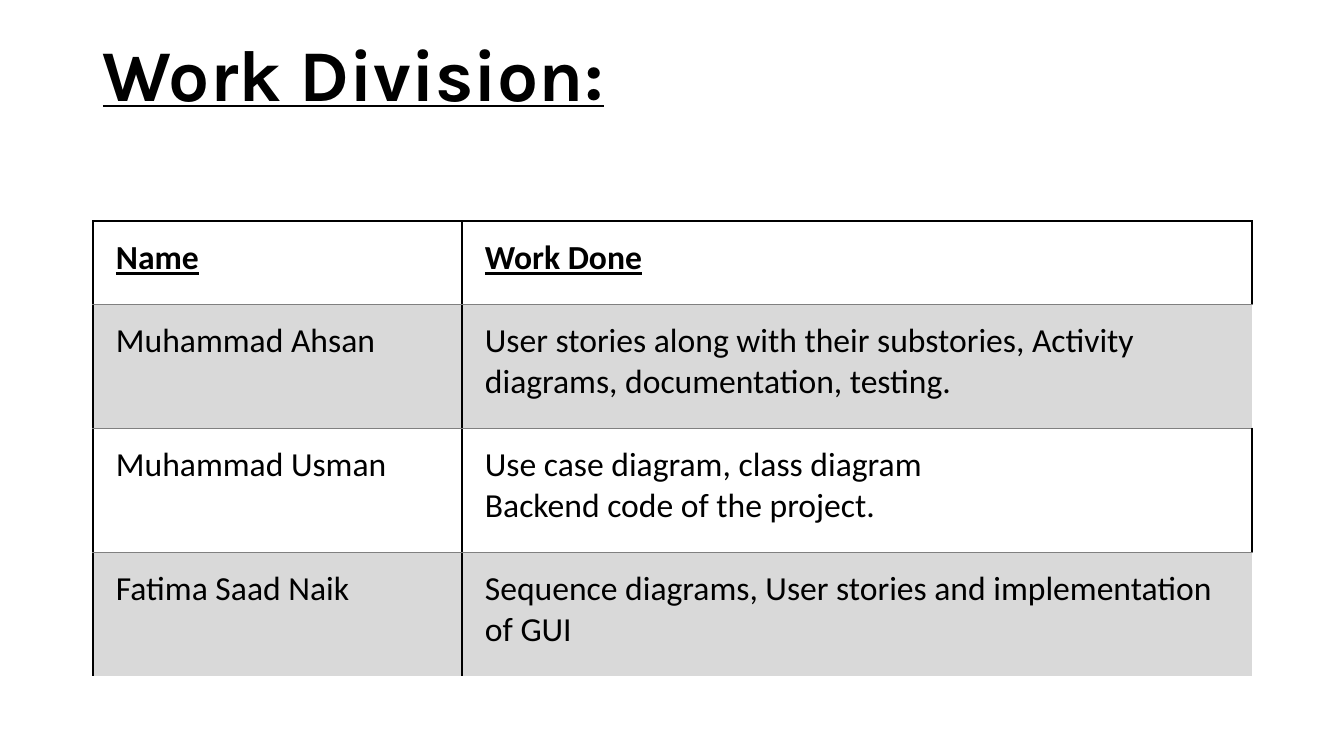
from dataclasses import dataclass

from lxml.etree import SubElement
from pptx import Presentation
from pptx.dml.color import RGBColor
from pptx.enum.text import MSO_ANCHOR, MSO_AUTO_SIZE, PP_ALIGN
from pptx.oxml.ns import qn
from pptx.util import Pt

EMU_PER_PX = 914400 / 100.8


@dataclass(frozen=True)
class Theme:
    ink: str = "000000"
    rule: str = "808080"
    band: str = "D9D9D9"
    title_font: str = "Karla"
    body_font: str = "Calibri"
    title_size: int = 52
    body_size: int = 24
    ink_width: float = 1.5
    rule_width: float = 0.5


theme = Theme()


def px(length):
    return round(length * EMU_PER_PX)


def set_borders(cell, edges):
    """Draw the named edges of a cell; they must precede its fill."""
    properties = cell._tc.get_or_add_tcPr()
    for edge in "LRTB":
        if edge not in edges:
            continue
        color, width = edges[edge]
        line = SubElement(properties, qn(f"a:ln{edge}"), w=str(Pt(width)))
        fill = SubElement(line, qn("a:solidFill"))
        SubElement(fill, qn("a:srgbClr"), val=color)


presentation = Presentation()
presentation.slide_width = px(1344)
presentation.slide_height = px(756)
slide = presentation.slides.add_slide(presentation.slide_layouts[5])

title = slide.shapes.title
title.left, title.top, title.width, title.height = px(93), px(39), px(1159), px(77)
title_frame = title.text_frame
title_frame.text = "Work Division:"
title_frame.word_wrap = True
title_frame.auto_size = MSO_AUTO_SIZE.NONE
title_frame.vertical_anchor = MSO_ANCHOR.TOP
title_frame.margin_left = title_frame.margin_right = px(10)
title_frame.margin_top = title_frame.margin_bottom = 0
paragraph = title_frame.paragraphs[0]
paragraph.alignment = PP_ALIGN.LEFT
paragraph.line_spacing = 0.9
paragraph.font.name = theme.title_font
paragraph.font.size = Pt(theme.title_size)
paragraph.font.bold = True
paragraph.font.underline = True
paragraph.font.color.rgb = RGBColor.from_string(theme.ink)

work_rows = [
    ("Name", "Work Done"),
    ("Muhammad Ahsan",
     "User stories along with their substories, Activity diagrams, documentation, testing."),
    ("Muhammad Usman", "Use case diagram, class diagram\nBackend code of the project."),
    ("Fatima Saad Naik", "Sequence diagrams, User stories and implementation of GUI"),
]
column_widths = [369, 790]
row_heights = [83, 124, 124, 124]

table_frame = slide.shapes.add_table(
    len(work_rows), len(column_widths),
    px(93), px(221), px(sum(column_widths)), px(sum(row_heights)))
table = table_frame.table
table.first_row = table.horz_banding = False
# The "No Style, No Grid" table style
table._tbl.tblPr.find(qn("a:tableStyleId")).text = "{2D5ABB26-0587-4C30-8999-92F81FD0307C}"
for column, width in zip(table.columns, column_widths):
    column.width = px(width)
for row, height in zip(table.rows, row_heights):
    row.height = px(height)

ink_line = (theme.ink, theme.ink_width)
rule_line = (theme.rule, theme.rule_width)

for row_index, texts in enumerate(work_rows):
    is_header = row_index == 0
    is_banded = row_index % 2 == 1
    for column_index, text in enumerate(texts):
        cell = table.cell(row_index, column_index)
        edges = {"L": ink_line}
        if column_index == 0 or not is_banded:
            edges["R"] = ink_line
        if is_header:
            edges["T"] = ink_line
        if is_banded:
            edges["T"] = rule_line
        else:
            edges["B"] = rule_line
        set_borders(cell, edges)
        if is_banded:
            cell.fill.solid()
            cell.fill.fore_color.rgb = RGBColor.from_string(theme.band)
        else:
            cell.fill.background()
        cell.margin_left, cell.margin_right = px(23), px(13)
        cell.margin_top = cell.margin_bottom = px(17)
        cell.text = text
        for paragraph in cell.text_frame.paragraphs:
            paragraph.font.name = theme.body_font
            paragraph.font.size = Pt(theme.body_size)
            paragraph.font.bold = is_header
            paragraph.font.underline = is_header
            paragraph.font.color.rgb = RGBColor.from_string(theme.ink)

presentation.save("out.pptx")
